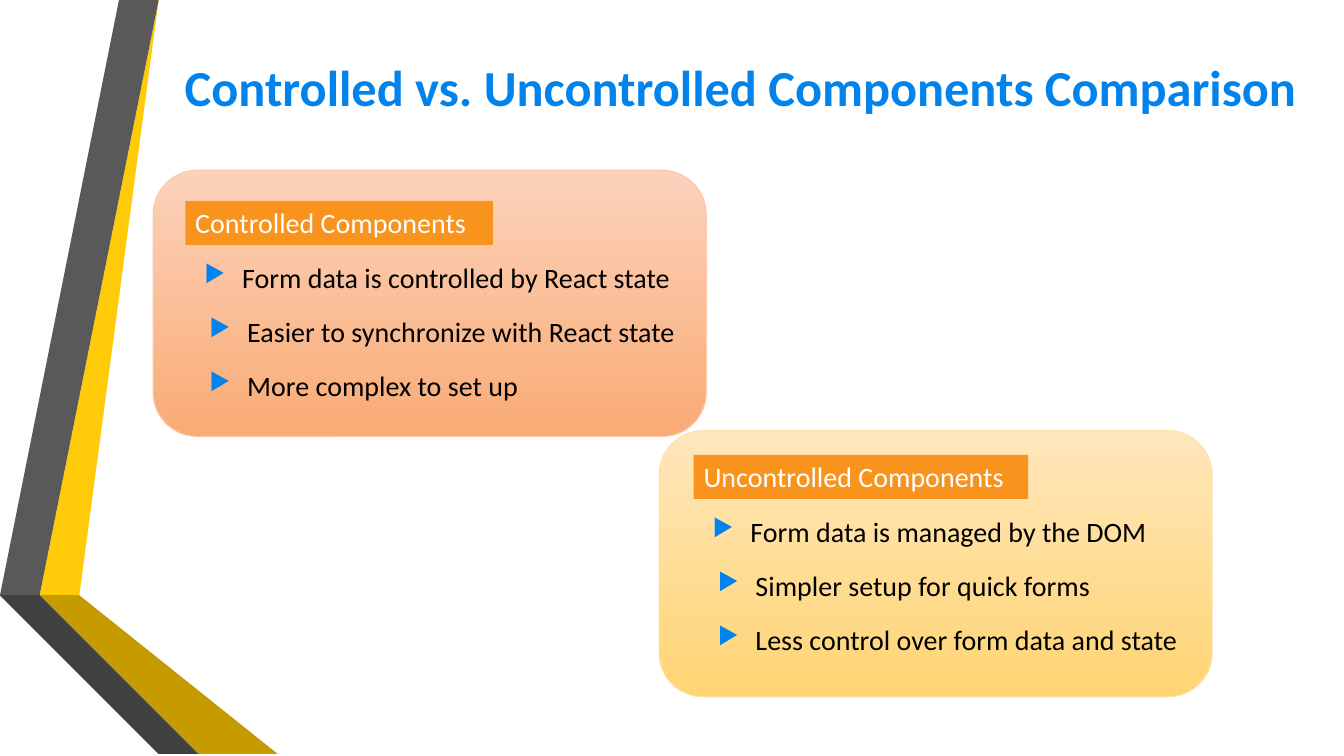
"""Build a slide comparing controlled and uncontrolled components."""
from lxml import etree
from pptx import Presentation
from pptx.dml import color
from pptx.enum import shapes, text
from pptx.oxml import ns
from pptx.util import Cm, Pt

COLORS = {
    "blue": "0282EB", "orange": "F8931D", "white": "FFFFFF", "black": "000000",
    "yellow": "FFCA08", "gold": "C59B00", "brown": "846700",
    "gray": "595959", "dark": "404040", "ink": "262626",
    "peach": "FCD2BC", "coral": "F9AB75", "rose": "FBC8AC",
    "cream": "FFE7BC", "amber": "FFD473", "sand": "FFE1AB",
}


def rgb(name):
    return color.RGBColor.from_string(COLORS[name])


def write(frame, words, size, tint, bold=False):
    run = frame.paragraphs[0].add_run()
    run.text = words
    run.font.name = "Calibri"
    run.font.size = Pt(size)
    run.font.bold = bold
    run.font.color.rgb = rgb(tint)


deck = Presentation()
deck.slide_width, deck.slide_height = Cm(33.87), Cm(19.05)
slide = deck.slides.add_slide(deck.slide_layouts[5])
items = slide.shapes

ribbons = [
    ("yellow", [(1.27, 14.68), (1.96, 14.81), (4.39, 0), (3.68, 0)]),
    ("gray", [(3.53, 0), (2.82, 0), (0.41, 14.55), (1.12, 14.66)]),
    ("ink", [(0.41, 14.55), (3.68, 19.05), (3.84, 19.05)]),
    ("brown", [(1.27, 14.71), (5.28, 19.05), (5.44, 19.05)]),
    ("gold", [(1.27, 14.68), (5.44, 19.05), (7.19, 19.05), (1.96, 14.81)]),
    ("dark", [(5.13, 19.05), (1.22, 14.81), (1.12, 14.66), (0.41, 14.55),
              (3.84, 19.05)]),
]
for tint, points in ribbons:
    pen = items.build_freeform(*points[0], scale=Cm(1))
    pen.add_line_segments(points[1:], close=True)
    ribbon = pen.convert_to_shape()
    ribbon.shadow.inherit = False
    ribbon.fill.solid()
    ribbon.fill.fore_color.rgb = rgb(tint)
    ribbon.line.fill.background()

title = items.title
title.left, title.top, title.width, title.height = Cm(3.86), Cm(1.19), Cm(29.62), Cm(1.98)
title.text_frame.word_wrap = True
title.text_frame.vertical_anchor = text.MSO_ANCHOR.MIDDLE
title.text_frame.paragraphs[0].alignment = text.PP_ALIGN.CENTER
write(title.text_frame, "Controlled vs. Uncontrolled Components Comparison", 36, "blue", True)

cards = [
    ((16.61, 10.85), ("cream", "amber"), "sand", (17.48, 11.46, 8.43),
     "Uncontrolled Components",
     [("Form data is managed by the DOM", 11.76),
      ("Simpler setup for quick forms", 10.11),
      ("Less control over form data and state", 12.4)]),
    ((3.86, 4.29), ("peach", "coral"), "rose", (4.67, 5.06, 7.75),
     "Controlled Components",
     [("Form data is controlled by React state", 12.57),
      ("Easier to synchronize with React state", 12.6),
      ("More complex to set up", 8.38)]),
]
offsets = [(0.23, 1.37), (0.36, 2.74), (0.36, 4.09)]

for (left, top), blend, edge, (x, y, wide), head, points in cards:
    card = items.add_shape(shapes.MSO_SHAPE.ROUNDED_RECTANGLE,
                           Cm(left), Cm(top), Cm(13.94), Cm(6.71))
    card.shadow.inherit = False
    card.fill.gradient()
    card.fill.gradient_angle = 270
    for stop, tint in zip(card.fill.gradient_stops, blend):
        stop.color.rgb = rgb(tint)
    card.line.color.rgb = rgb(edge)
    card.line.width = Pt(0.75)

    label = items.add_shape(shapes.MSO_SHAPE.RECTANGLE, Cm(x), Cm(y), Cm(wide), Cm(1.11))
    label.shadow.inherit = False
    label.fill.solid()
    label.fill.fore_color.rgb = rgb("orange")
    label.line.fill.background()
    label.text_frame.word_wrap = True
    label.text_frame.vertical_anchor = text.MSO_ANCHOR.TOP
    label.text_frame.paragraphs[0].alignment = text.PP_ALIGN.LEFT
    write(label.text_frame, head, 20, "white")

    for (words, width), (right, down) in zip(points, offsets):
        box = items.add_textbox(Cm(x + right), Cm(y + down), Cm(width), Cm(1.11))
        frame = box.text_frame
        frame.word_wrap = False
        frame.auto_size = text.MSO_AUTO_SIZE.SHAPE_TO_FIT_TEXT
        props = frame.paragraphs[0]._p.get_or_add_pPr()
        props.set("marL", str(Cm(0.95)))
        props.set("indent", str(-Cm(0.95)))
        tone = etree.SubElement(props, ns.qn("a:buClr"))
        etree.SubElement(tone, ns.qn("a:srgbClr"), val=COLORS["blue"])
        etree.SubElement(props, ns.qn("a:buSzPct"), val="85000")
        etree.SubElement(props, ns.qn("a:buChar"), char="▶")
        write(frame, words, 20, "black")

deck.save("out.pptx")
